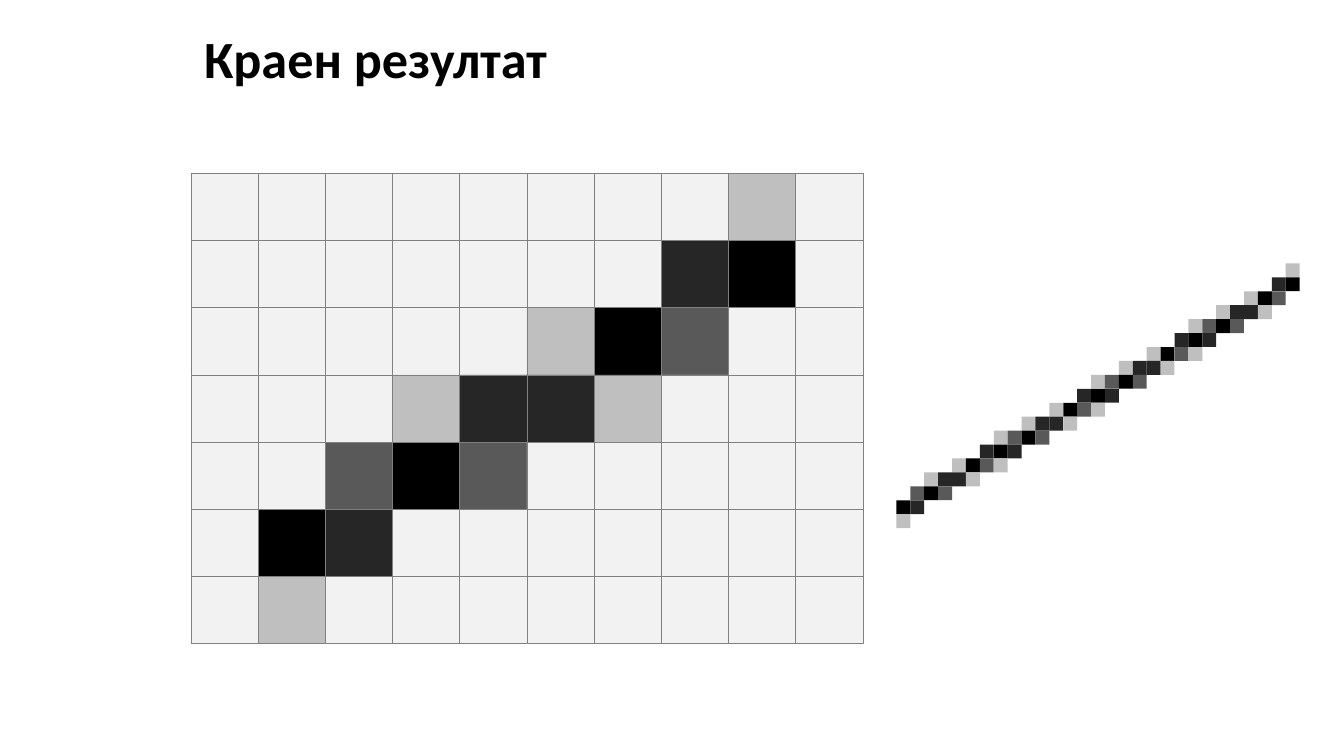
from pptx import Presentation
from pptx import util as u
from pptx.dml.color import RGBColor
from pptx.enum import shapes, text

BLACK = RGBColor(0x00, 0x00, 0x00)
GRID_LINE = RGBColor(0x80, 0x80, 0x80)
EMPTY = RGBColor(0xF2, 0xF2, 0xF2)
SHADES = {
    "K": BLACK,
    "D": RGBColor(0x26, 0x26, 0x26),
    "M": RGBColor(0x59, 0x59, 0x59),
    "L": RGBColor(0xBF, 0xBF, 0xBF),
}

# Antialiased line segment, one letter per shaded pixel
SEGMENT = [
    ".......L",
    "......DK",
    "....LKM.",
    "..LDDL..",
    ".MKM....",
    "KD......",
    "L.......",
]
ROWS, COLS = len(SEGMENT), len(SEGMENT[0])
REPEATS = 4
STEP_X, STEP_Y = COLS - 1, 4  # pixels between successive segments


def add_pixel(group, left, top, width, height, fill, outlined=False):
    sp = group.shapes.add_shape(shapes.MSO_SHAPE.RECTANGLE, u.Inches(left),
                                u.Inches(top), u.Inches(width), u.Inches(height))
    sp.shadow.inherit = False
    sp.fill.solid()
    sp.fill.fore_color.rgb = fill
    if outlined:
        sp.line.color.rgb = GRID_LINE
        sp.line.width = u.Pt(0.25)
    else:
        sp.line.fill.background()


def add_title(s, left, top, width, height):
    box = s.shapes.add_textbox(u.Inches(left), u.Inches(top),
                               u.Inches(width), u.Inches(height))
    tf = box.text_frame
    tf.word_wrap = True
    tf.vertical_anchor = text.MSO_ANCHOR.TOP
    p = tf.paragraphs[0]
    p.text = "Краен резултат"
    p.font.name = "Calibri"
    p.font.size = u.Pt(28)
    p.font.bold = True
    p.font.color.rgb = BLACK


def add_enlarged_grid(s, left, top, width, height):
    """One segment, with an empty column on either side."""
    cell_w, cell_h = width / (COLS + 2), height / ROWS
    group = s.shapes.add_group_shape()
    for row, pixels in enumerate(SEGMENT):
        for col, shade in enumerate(f".{pixels}."):
            add_pixel(group, left + col * cell_w, top + row * cell_h,
                      cell_w, cell_h, SHADES.get(shade, EMPTY), outlined=True)


def add_long_line(s, left, top, width, height):
    """Repeated segments rising from bottom left to top right."""
    cell_w = width / (COLS + (REPEATS - 1) * STEP_X)
    cell_h = height / (ROWS + (REPEATS - 1) * STEP_Y)
    drawn = set()  # neighbouring segments share a pixel
    for i in range(REPEATS):
        group = s.shapes.add_group_shape()
        first_col, first_row = i * STEP_X, (REPEATS - 1 - i) * STEP_Y
        for row, pixels in enumerate(SEGMENT, first_row):
            for col, shade in enumerate(pixels, first_col):
                if shade in SHADES and (col, row) not in drawn:
                    drawn.add((col, row))
                    add_pixel(group, left + col * cell_w, top + row * cell_h,
                              cell_w, cell_h, SHADES[shade])


def main():
    prs = Presentation()
    prs.slide_width = u.Inches(10)
    prs.slide_height = prs.slide_width * 9 // 16
    s = prs.slides.add_slide(prs.slide_layouts[6])
    add_title(s, 1.42, 0.15, 8.58, 5.17)
    add_enlarged_grid(s, 1.42, 1.29, 5, 3.5)
    add_long_line(s, 6.67, 1.96, 3, 1.97)
    prs.save("out.pptx")


if __name__ == "__main__":
    main()
